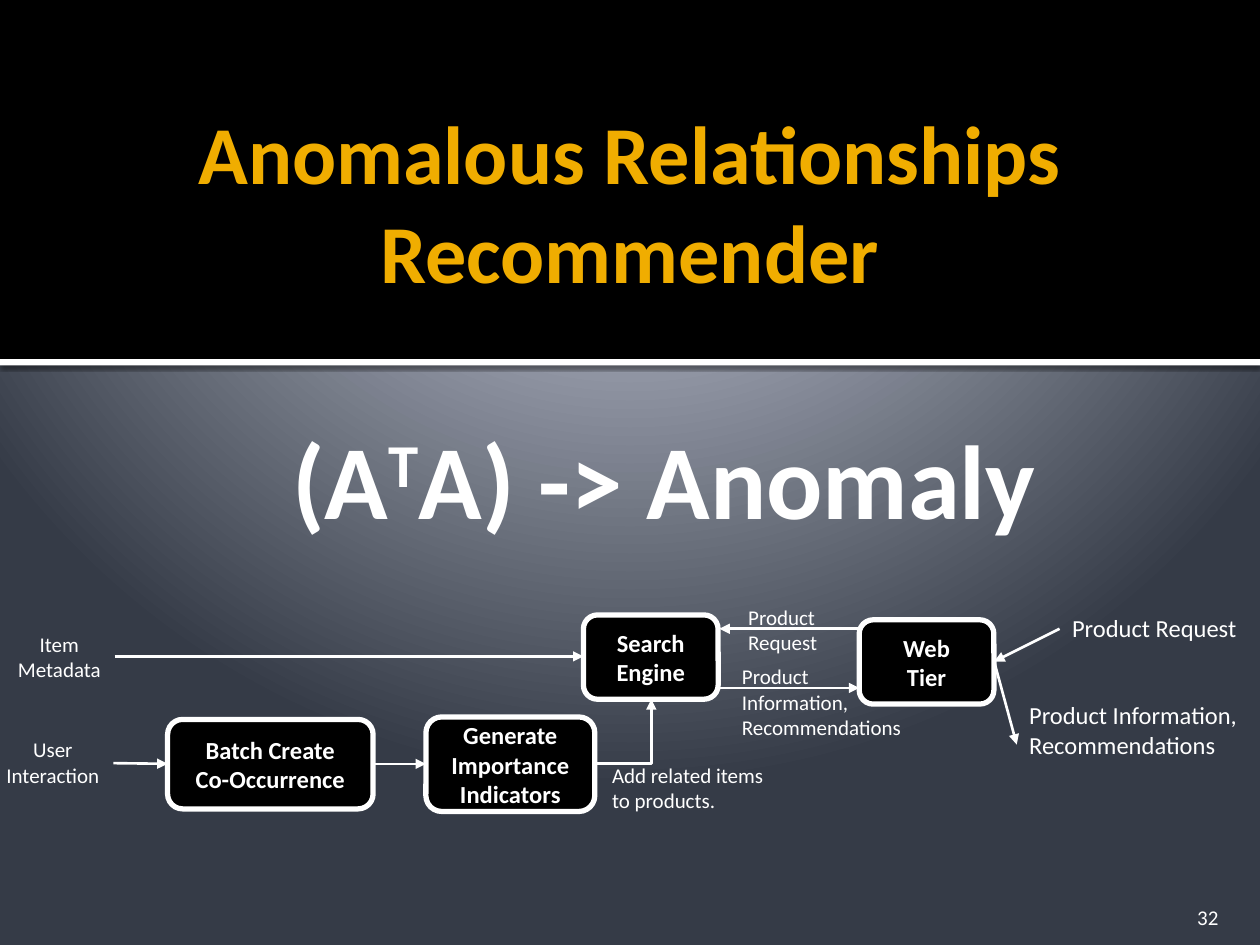
from lxml.etree import SubElement
from pptx import Presentation
from pptx.dml.color import RGBColor
from pptx.enum.shapes import MSO_CONNECTOR, MSO_SHAPE
from pptx.enum.text import MSO_ANCHOR, MSO_AUTO_SIZE, PP_ALIGN
from pptx.oxml import parse_xml
from pptx.oxml.ns import nsdecls, qn
from pptx.util import Pt

THEME = {
    "font": "Calibri", "black": "000000", "white": "FFFFFF", "gold": "F0AD00",
    "title": 47, "formula": 60, "box": 14, "large": 14, "small": 12,
    "border": 3, "arrow": 1.5,
    "glow": [(0, "C1C5D3"), (12, "C1C5D3"), (20, "BFC4D2"), (100, "353B47")],
}
LEFT, CENTER, RIGHT = PP_ALIGN.LEFT, PP_ALIGN.CENTER, PP_ALIGN.RIGHT

# Content: places are left, top, width, height in points
TITLE = ("Anomalous Relationships", "Recommender")
TITLE_PLACE = (44.6, 41.8, 630.7, 129.6)
FORMULA = [("(A", 0), ("T", 30000), ("A) -> Anomaly", 0)]
FORMULA_PLACE = (159.8, 233.3, 471.6, 79.9)
NUMBER, NUMBER_PLACE = "32", (645.8, 509.8, 57.6, 21.6)
BANDS = [((0, 0, 720, 205.2), "black"), ((0, 205.2, 720, 3.6), "white")]
BOXES = [
    ("Search\nEngine", (333.4, 351.4, 77, 48.2)),
    ("Batch Create\nCo-Occurrence", (95.8, 411.1, 117.4, 51.1)),
    ("Generate Importance Indicators", (243.4, 409.7, 96.5, 54)),
    ("Web\nTier", (491, 354.2, 77, 48.2)),
]
LABELS = [
    ("Item\nMetadata", (2.2, 357.1, 63.4, 36), "small", CENTER),
    ("User\nInteraction", (-4.3, 417.6, 69.1, 36), "small", CENTER),
    ("Add related items\nto products.", (342.7, 432, 105.8, 36), "small", LEFT),
    ("Product Request", (605.5, 347, 111.6, 24.5), "large", LEFT),
    ("Product Information,\nRecommendations", (581, 396.7, 137.5, 58.3), "large", LEFT),
    ("Product\nRequest", (420.5, 342, 55.4, 36), "small", LEFT),
    ("Product\nInformation,\nRecommendations", (416.9, 375.8, 109.4, 51.1), "small", LEFT),
]
# Arrows run from x, y to x, y
ARROWS = [
    (65.5, 375.1, 333.4, 375.1),
    (64.8, 436.1, 95.8, 436.5),
    (213.6, 436.5, 243.4, 436.5),
    (605.5, 359.3, 568.1, 378),
    (568.1, 378, 581, 425.5),
    (491, 359.3, 411.1, 359.3),
    (411.1, 393.1, 491, 393.1),
]
ELBOW = (339.8, 436.3, 372.2, 399.6)


def points(values):
    return [Pt(value) for value in values]


def color(name):
    return RGBColor.from_string(THEME[name])


def apply(target, values):
    for name, value in values.items():
        setattr(target, name, value)


def format_text(frame, size, align, bold=False, ink="white"):
    for paragraph in frame.paragraphs:
        paragraph.alignment = align
        for run in paragraph.runs:
            apply(run.font, {"name": THEME["font"], "size": Pt(THEME[size]), "bold": bold})
            run.font.color.rgb = color(ink)


def add_block(slide, kind, place, fill):
    shape = slide.shapes.add_shape(kind, *points(place))
    shape.shadow.inherit = False
    shape.fill.solid()
    shape.fill.fore_color.rgb = color(fill)
    shape.line.fill.background()
    return shape


def add_label(slide, text, place, size, align, bold=False):
    frame = slide.shapes.add_textbox(*points(place)).text_frame
    frame.text = text
    apply(frame, {"word_wrap": False, "auto_size": MSO_AUTO_SIZE.SHAPE_TO_FIT_TEXT})
    format_text(frame, size, align, bold)
    return frame


def add_arrow(slide, ends, kind=MSO_CONNECTOR.STRAIGHT):
    connector = slide.shapes.add_connector(kind, *points(ends))
    connector.line.width = Pt(THEME["arrow"])
    connector.line.color.rgb = color("white")
    SubElement(connector.line._get_or_add_ln(), qn("a:tailEnd"), type="triangle")
    SubElement(connector._element.spPr, qn("a:effectLst"))
    return connector


def paint_background(slide):
    fill = slide.background.fill
    fill.gradient()
    stops = "".join(
        f'<a:gs pos="{position * 1000}"><a:srgbClr val="{value}"/></a:gs>'
        for position, value in THEME["glow"])
    gradient = parse_xml(
        f'<a:gradFill {nsdecls("a")} rotWithShape="1"><a:gsLst>{stops}</a:gsLst>'
        '<a:path path="circle"><a:fillToRect l="10000" t="-25000" r="10000" b="125000"/>'
        '</a:path></a:gradFill>')
    old = slide._element.find(".//" + qn("a:gradFill"))
    old.getparent().replace(old, gradient)


def add_header(slide):
    for place, fill in BANDS:
        band = add_block(slide, MSO_SHAPE.RECTANGLE, place, fill)
    # The white rule casts a soft shadow downwards
    effects = band._element.spPr.find(qn("a:effectLst"))
    effects.append(parse_xml(
        f'<a:outerShdw {nsdecls("a")} blurRad="{Pt(2.5)}" dist="{Pt(0.8)}" dir="5400000">'
        '<a:srgbClr val="000000"><a:alpha val="60000"/></a:srgbClr></a:outerShdw>'))

    title = slide.shapes.title
    slide.shapes._spTree.append(title._element)  # in front of the bands
    apply(title, dict(zip(("left", "top", "width", "height"), points(TITLE_PLACE))))
    frame = title.text_frame
    apply(frame, {"vertical_anchor": MSO_ANCHOR.BOTTOM, "word_wrap": True,
                  "auto_size": MSO_AUTO_SIZE.NONE, "margin_top": 0, "margin_bottom": 0})
    paragraph = frame.paragraphs[0]
    paragraph.add_run().text = TITLE[0]
    paragraph.add_line_break()
    paragraph.add_run().text = TITLE[1]
    format_text(frame, "title", CENTER, True, "gold")


def add_formula(slide):
    frame = add_label(slide, "", FORMULA_PLACE, "formula", LEFT)
    for text, baseline in FORMULA:
        run = frame.paragraphs[0].add_run()
        run.text = text
        run.font._element.set("baseline", str(baseline))
    format_text(frame, "formula", LEFT, True)


def add_diagram(slide):
    for text, place in BOXES:
        box = add_block(slide, MSO_SHAPE.ROUNDED_RECTANGLE, place, "black")
        box.line.color.rgb = color("white")
        box.line.width = Pt(THEME["border"])
        box.text_frame.text = text
        apply(box.text_frame, {"word_wrap": True, "vertical_anchor": MSO_ANCHOR.MIDDLE})
        format_text(box.text_frame, "box", CENTER, True)
    for ends in ARROWS:
        add_arrow(slide, ends)
    # A single bend: right, then up into the search engine
    elbow = add_arrow(slide, ELBOW, MSO_CONNECTOR.ELBOW)
    elbow._element.spPr.find(qn("a:prstGeom")).set("prst", "bentConnector2")
    for label in LABELS:
        add_label(slide, *label)


def main():
    presentation = Presentation()
    apply(presentation, {"slide_width": Pt(720), "slide_height": Pt(540)})
    slide = presentation.slides.add_slide(presentation.slide_layouts[5])
    paint_background(slide)
    add_header(slide)
    add_formula(slide)
    add_diagram(slide)
    # Slide number
    frame = add_label(slide, NUMBER, NUMBER_PLACE, "small", RIGHT)
    apply(frame, {"word_wrap": True, "auto_size": MSO_AUTO_SIZE.NONE,
                  "vertical_anchor": MSO_ANCHOR.BOTTOM, "margin_bottom": 0})
    presentation.save("out.pptx")


if __name__ == "__main__":
    main()
